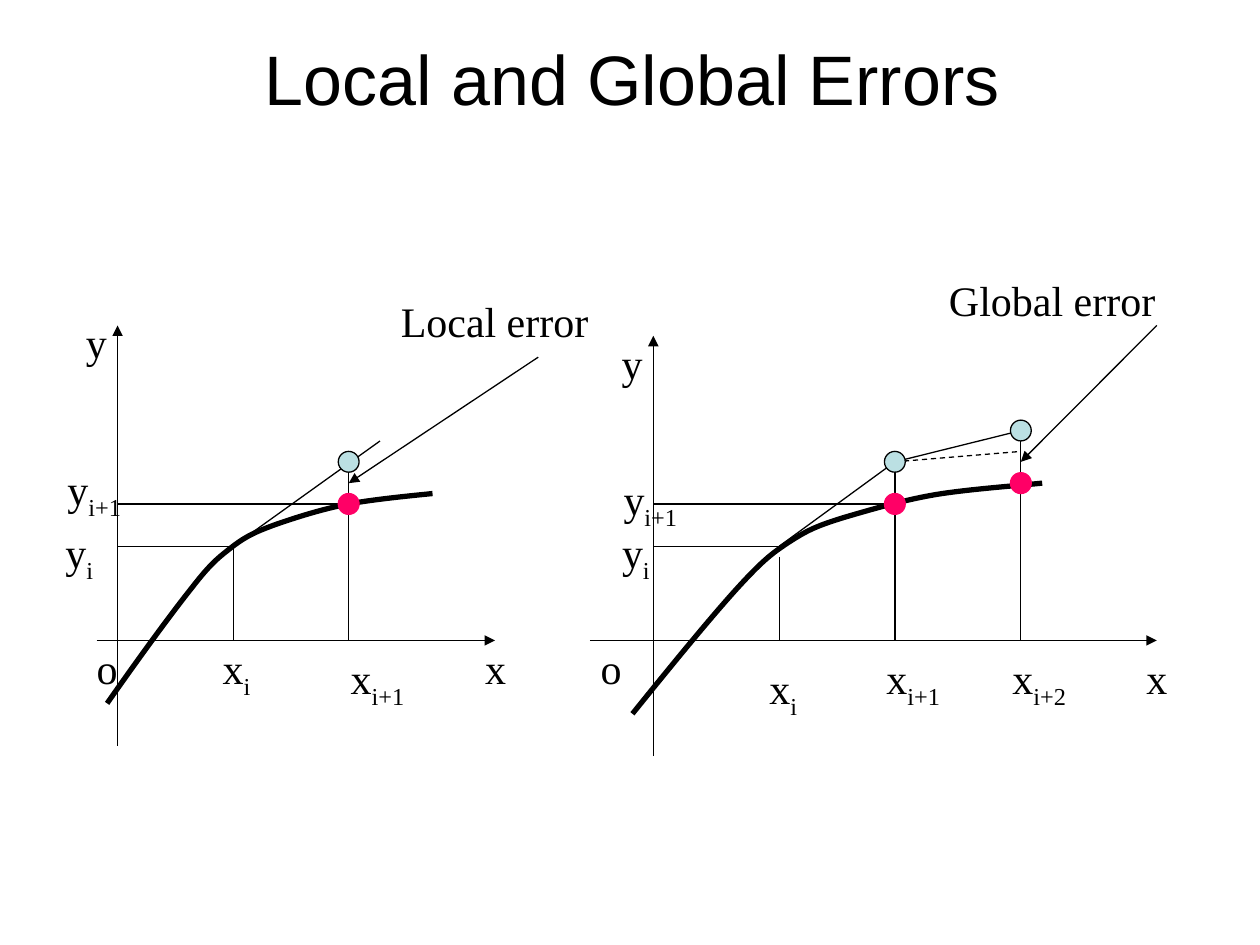
from dataclasses import dataclass
from typing import NamedTuple

from lxml.etree import SubElement
from pptx import Presentation
from pptx.dml.color import RGBColor
from pptx.enum.dml import MSO_LINE
from pptx.enum.shapes import MSO_CONNECTOR, MSO_SHAPE
from pptx.enum.text import MSO_ANCHOR, MSO_AUTO_SIZE, PP_ALIGN
from pptx.oxml.ns import qn
from pptx.util import Cm, Pt


@dataclass(frozen=True)
class Theme:
    ink: RGBColor = RGBColor(0x00, 0x00, 0x00)
    estimate: RGBColor = RGBColor(0xBB, 0xE0, 0xE3)
    exact: RGBColor = RGBColor(0xFF, 0x00, 0x66)
    title_font: str = "Arial"
    label_font: str = "Times New Roman"
    title_size: int = 40
    label_size: int = 24
    thin: float = 0.75
    thick: float = 3


THEME = Theme()
DOT_DIAMETER = 0.42


class Point(NamedTuple):
    x: float
    y: float


class Line(NamedTuple):
    start: Point
    end: Point
    arrow: bool = False
    dashed: bool = False


class Label(NamedTuple):
    left: float
    top: float
    text: str
    subscript: str = ""
    width: float = 0.91


class Graph(NamedTuple):
    lines: list[Line]
    curve: list[Point]
    estimates: list[Point]
    exacts: list[Point]
    labels: list[Label]


def line(x1: float, y1: float, x2: float, y2: float, **style: bool) -> Line:
    return Line(Point(x1, y1), Point(x2, y2), **style)


def points(*pairs: tuple[float, float]) -> list[Point]:
    return [Point(*pair) for pair in pairs]


def write_text(shape, text: str, *, subscript: str = "", font: str = THEME.label_font,
               size: int = THEME.label_size, wrap: bool = False) -> None:
    frame = shape.text_frame
    frame.word_wrap = wrap
    frame.auto_size = MSO_AUTO_SIZE.SHAPE_TO_FIT_TEXT
    frame.vertical_anchor = MSO_ANCHOR.TOP
    paragraph = frame.paragraphs[0]
    paragraph.alignment = PP_ALIGN.LEFT
    for content, baseline in ((text, None), (subscript, "-25000")):
        if not content:
            continue
        run = paragraph.add_run()
        run.text = content
        run.font.name, run.font.size = font, Pt(size)
        run.font.color.rgb = THEME.ink
        if baseline:
            run._r.get_or_add_rPr().set("baseline", baseline)


def draw_line(slide, item: Line) -> None:
    connector = slide.shapes.add_connector(
        MSO_CONNECTOR.STRAIGHT, *(Cm(value) for value in (*item.start, *item.end)))
    connector.line.color.rgb = THEME.ink
    connector.line.width = Pt(THEME.thin)
    if item.dashed:
        connector.line.dash_style = MSO_LINE.DASH
    if item.arrow:
        SubElement(connector.line._get_or_add_ln(), qn("a:tailEnd"), type="triangle")
    SubElement(connector._element.spPr, qn("a:effectLst"))


def draw_curve(slide, controls: list[Point]) -> None:
    """Draw chained cubic segments, each sharing its end with the next one's start."""
    start, *rest = [(Cm(point.x), Cm(point.y)) for point in controls]
    builder = slide.shapes.build_freeform(*start, scale=1.0)
    builder.add_line_segments(rest, close=False)
    curve = builder.convert_to_shape()
    outline = next(curve._element.iter(qn("a:path")))
    segments = outline.findall(qn("a:lnTo"))
    for index in range(0, len(segments), 3):
        cubic = SubElement(outline, qn("a:cubicBezTo"))
        for segment in segments[index:index + 3]:
            cubic.append(segment[0])
            outline.remove(segment)
    curve.shadow.inherit = False
    curve.fill.background()
    curve.line.color.rgb = THEME.ink
    curve.line.width = Pt(THEME.thick)


def draw_dot(slide, center: Point, fill: RGBColor, outline: RGBColor) -> None:
    radius = DOT_DIAMETER / 2
    dot = slide.shapes.add_shape(MSO_SHAPE.OVAL, Cm(center.x - radius), Cm(center.y - radius),
                                 Cm(DOT_DIAMETER), Cm(DOT_DIAMETER))
    dot.shadow.inherit = False
    dot.fill.solid()
    dot.fill.fore_color.rgb = fill
    dot.line.color.rgb = outline
    dot.line.width = Pt(THEME.thin)


def draw_label(slide, label: Label) -> None:
    height = 1.42 if label.subscript else 1.27
    box = slide.shapes.add_textbox(Cm(label.left), Cm(label.top), Cm(label.width), Cm(height))
    write_text(box, label.text, subscript=label.subscript)


def draw_graph(slide, graph: Graph) -> None:
    for item in graph.lines:
        draw_line(slide, item)
    draw_curve(slide, graph.curve)
    for center in graph.exacts:
        draw_dot(slide, center, THEME.exact, THEME.exact)
    for center in graph.estimates:
        draw_dot(slide, center, THEME.estimate, THEME.ink)
    for label in graph.labels:
        draw_label(slide, label)


LOCAL = Graph(
    lines=[
        line(1.95, 12.91, 9.98, 12.91, arrow=True), line(2.37, 15.03, 2.37, 6.56, arrow=True),
        line(4.7, 11.01, 4.7, 12.91), line(2.37, 11.01, 4.7, 11.01),
        line(7.03, 9.31, 7.03, 12.91), line(2.37, 10.16, 7.03, 10.16),
        line(4.7, 11.01, 7.66, 8.89), line(10.85, 7.2, 7.03, 9.74, arrow=True)],
    curve=points(
        (2.16, 14.18), (2.79, 13.28), (3.43, 12.4), (3.86, 11.86), (4.27, 11.33),
        (4.42, 11.23), (4.7, 11.01), (4.98, 10.8), (5.16, 10.72), (5.54, 10.58),
        (5.94, 10.44), (6.5, 10.26), (7.03, 10.16), (7.57, 10.06), (8.43, 9.98), (8.72, 9.95)),
    estimates=points((7.03, 9.31)),
    exacts=points((7.03, 10.16)),
    labels=[
        Label(9.53, 12.83, "x"), Label(1.48, 6.25, "y"), Label(1.7, 12.83, "o"),
        Label(4.24, 12.83, "x", "i", 1.07), Label(6.82, 13.03, "x", "i+1", 1.62),
        Label(1.07, 10.49, "y", "i", 1.07), Label(1.11, 9.22, "y", "i+1", 1.62),
        Label(7.83, 5.84, "Local error", width=4.29)])

GLOBAL = Graph(
    lines=[
        line(11.89, 12.91, 23.32, 12.91, arrow=True), line(13.17, 15.24, 13.17, 6.77, arrow=True),
        line(15.71, 11.22, 15.71, 12.91), line(13.17, 11.01, 15.71, 11.01),
        line(15.71, 11.01, 18.04, 9.31), line(18.04, 9.31, 18.04, 12.91),
        line(13.17, 10.16, 18.04, 10.16), line(18.04, 9.31, 20.58, 8.68),
        line(20.58, 8.68, 20.58, 12.91), line(18.04, 9.31, 20.58, 9.1, dashed=True),
        line(23.32, 6.56, 20.58, 9.31, arrow=True)],
    curve=points(
        (12.75, 14.39), (13.54, 13.41), (14.35, 12.42), (14.88, 11.84), (15.42, 11.25),
        (15.6, 11.13), (15.95, 10.9), (16.31, 10.67), (16.51, 10.59), (16.99, 10.44),
        (17.5, 10.29), (18.21, 10.08), (18.87, 9.97), (19.53, 9.86), (20.65, 9.78), (21.01, 9.74)),
    estimates=points((18.04, 9.31), (20.58, 8.68)),
    exacts=points((18.04, 10.16), (20.58, 9.74)),
    labels=[
        Label(22.86, 13.03, "x"), Label(12.28, 6.68, "y"), Label(11.86, 12.83, "o"),
        Label(15.26, 13.24, "x", "i", 1.07), Label(17.62, 13.03, "x", "i+1", 1.62),
        Label(20.16, 13.03, "x", "i+2", 1.62), Label(12.29, 10.49, "y", "i", 1.07),
        Label(12.32, 9.43, "y", "i+1", 1.62), Label(18.88, 5.41, "Global error", width=4.75)])


def main() -> None:
    presentation = Presentation()
    presentation.slide_width, presentation.slide_height = Cm(25.4), Cm(19.05)
    slide = presentation.slides.add_slide(presentation.slide_layouts[5])
    title = slide.shapes.title
    title.left, title.top, title.width, title.height = Cm(5.08), Cm(0.58), Cm(15.67), Cm(1.96)
    write_text(title, "Local and Global Errors", font=THEME.title_font,
               size=THEME.title_size, wrap=True)
    for graph in (LOCAL, GLOBAL):
        draw_graph(slide, graph)
    presentation.save("out.pptx")


if __name__ == "__main__":
    main()
